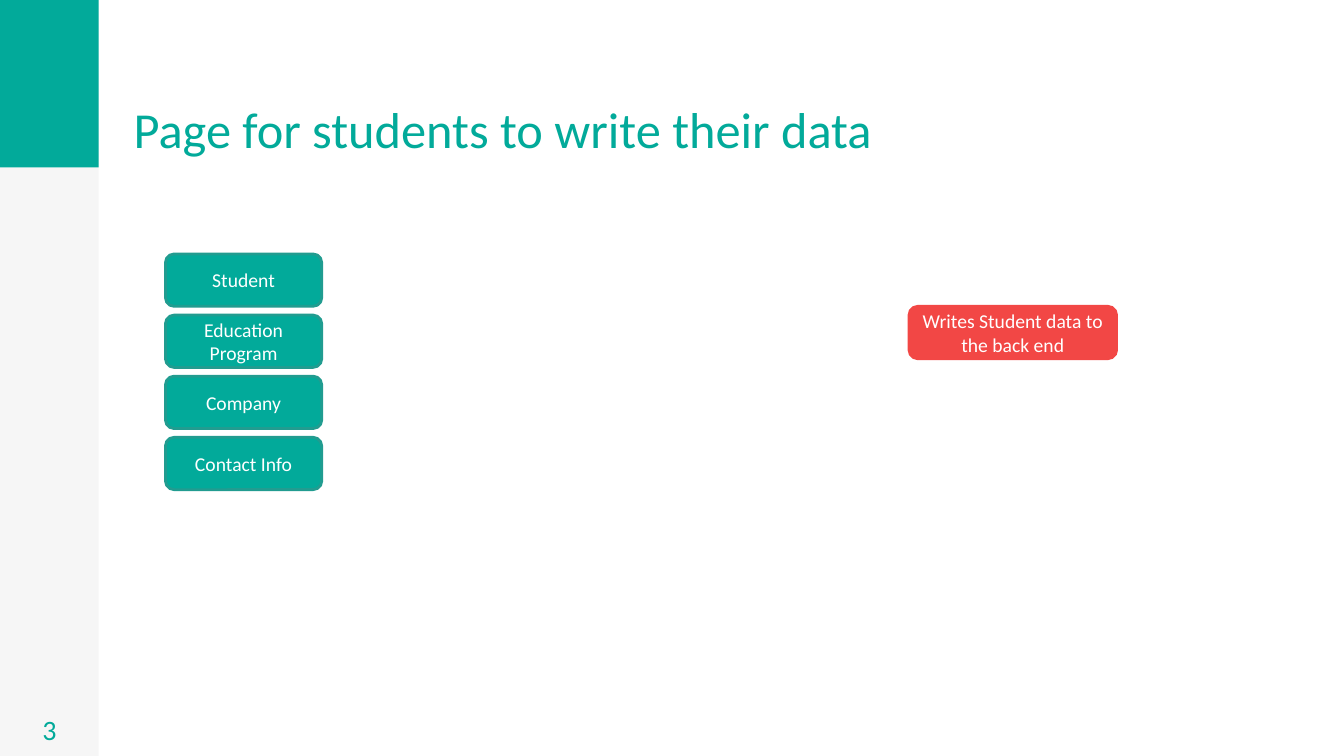
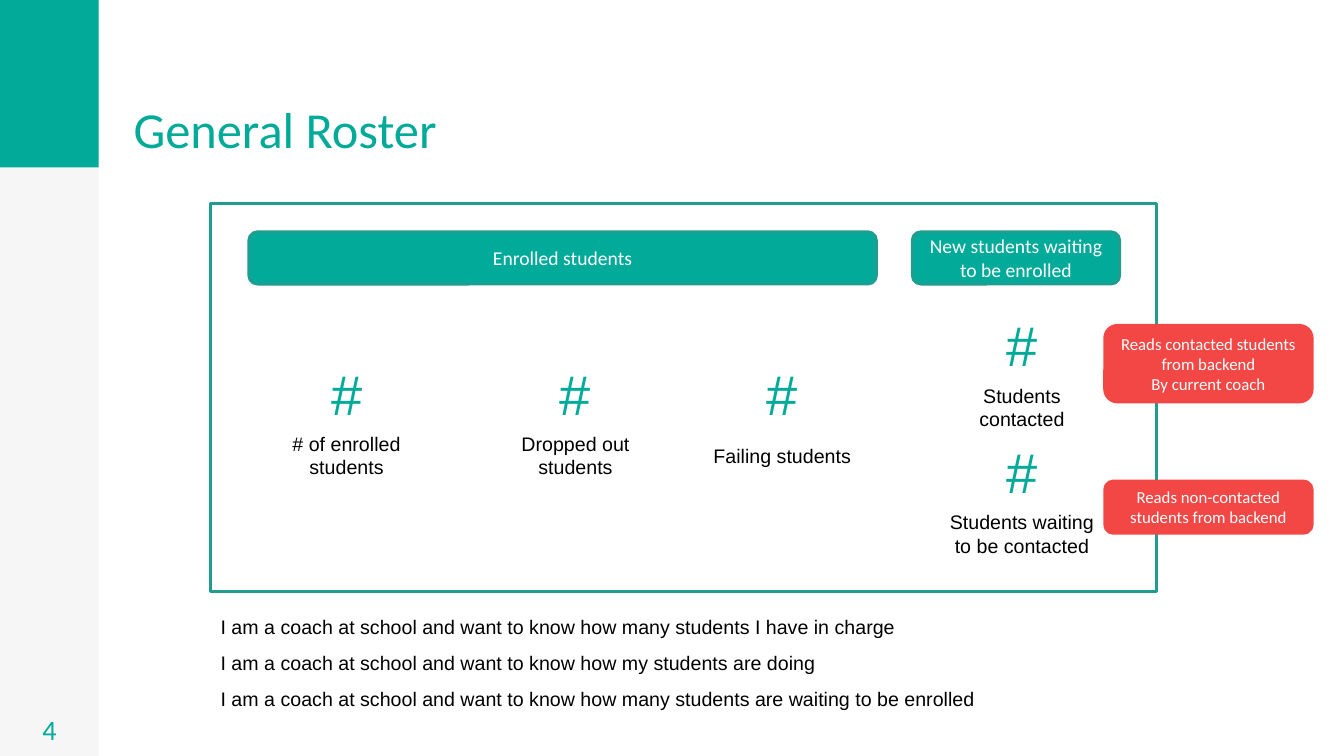
from pptx import Presentation
from pptx.dml.color import RGBColor
from pptx.enum.shapes import MSO_SHAPE as Shape
from pptx.enum.text import MSO_ANCHOR as Anchor, PP_ALIGN as Align
from pptx.util import Cm, Pt

# Content: positions and sizes in cm
COLORS = {"teal": "02AA9A", "edge": "219C90", "red": "F24745",
          "side": "F6F6F6", "white": "FFFFFF", "black": "000000"}

FIELDS = ["Student", "Education Program", "Company", "Contact Info"]
WRITER = "Writes Student data to the back end"

HEADS = [  # text, left, width
    ("Enrolled students", 6.27, 15.82),
    ("New students waiting to be enrolled", 22.99, 5.23),
]
COUNTS = [  # label, left, top
    ("# of enrolled students", 6.65, 8.92),
    ("Dropped out students", 12.42, 8.92),
    ("Failing students", 17.63, 8.92),
    ("Students contacted", 23.67, 7.7),
    ("Students waiting to be contacted", 23.67, 10.9),
]
STORIES = [
    "I am a coach at school and want to know how many students I have in charge",
    "I am a coach at school and want to know how my students are doing",
    "I am a coach at school and want to know how many students are waiting to be enrolled",
]
READERS = [  # text, top, height
    ("Reads non-contacted students from backend", 12.12, 1.32),
    ("Reads contacted students from backend\nBy current coach", 8.2, 1.93),
]

SIDE_W, BAND_H = 2.49, 4.22
PILL_W, PILL_H = 5.23, 1.32


def color(name):
    return RGBColor.from_string(COLORS[name])


def write(shape, text, size=14, font="Arial", ink="black",
          align=Align.CENTER, anchor=Anchor.MIDDLE, pad=0.13):
    frame = shape.text_frame
    frame.word_wrap = True
    frame.vertical_anchor = anchor
    frame.margin_left = frame.margin_right = Cm(0.25)
    frame.margin_top = frame.margin_bottom = Cm(pad)
    frame.text = text
    for para in frame.paragraphs:
        para.alignment = align
        para.font.size = Pt(size)
        para.font.name = font
        para.font.color.rgb = color(ink)


def label(slide, text, box, **style):
    write(slide.shapes.add_textbox(*map(Cm, box)), text, **style)


def block(slide, box, fill, line=None, kind=Shape.RECTANGLE):
    shape = slide.shapes.add_shape(kind, *map(Cm, box))
    shape.shadow.inherit = False
    shape.fill.solid()
    shape.fill.fore_color.rgb = color(fill)
    if line:
        shape.line.color.rgb = color(line)
        shape.line.width = Pt(2)
    else:
        shape.line.fill.background()
    return shape


def pill(slide, text, box, fill="teal", line="edge", size=14):
    shape = block(slide, box, fill, line, Shape.ROUNDED_RECTANGLE)
    write(shape, text, size=size, font="Calibri", ink="white")


def page(deck, title, number):
    slide = deck.slides.add_slide(deck.slide_layouts[6])
    block(slide, (0, 0, SIDE_W, 19.05), "side")
    block(slide, (0, 0, SIDE_W, BAND_H), "teal")
    style = dict(font="Calibri", ink="teal", anchor=Anchor.BOTTOM, pad=0.25)
    label(slide, title, (3.12, 0.03, 27.64, BAND_H),
          size=36, align=Align.LEFT, **style)
    label(slide, number, (0, 12.67, SIDE_W, 6.38), size=20, **style)
    return slide


def form(deck):
    slide = page(deck, "Page for students to write their data", "3")
    pill(slide, WRITER, (22.91, 7.72, PILL_W, PILL_H), "red", "red")
    for row, text in enumerate(FIELDS):
        pill(slide, text, (4.17, 6.4 + row * 1.54, 3.94, PILL_H))


def roster(deck):
    slide = page(deck, "General Roster", "4")
    block(slide, (5.31, 5.13, 23.83, 9.78), "white", "edge")
    for text, left, width in HEADS:
        pill(slide, text, (left, 5.84, width, PILL_H))
    # Figure with its caption below
    for text, left, top in COUNTS:
        label(slide, text, (left, top + 1.83, 4.17, 1.45))
        label(slide, "#", (left, top, 4.17, 1.96), size=40, ink="teal")
    for row, text in enumerate(STORIES):
        label(slide, text, (5.31, 15.37 + row * 0.9, 24.92, 0.86),
              align=Align.LEFT, anchor=Anchor.TOP)
    for text, top, height in READERS:
        pill(slide, text, (27.84, top, PILL_W, height), "red", "red", 12)


def main():
    deck = Presentation()
    deck.slide_width, deck.slide_height = Cm(33.87), Cm(19.05)
    form(deck)
    roster(deck)
    deck.save("out.pptx")


if __name__ == "__main__":
    main()
